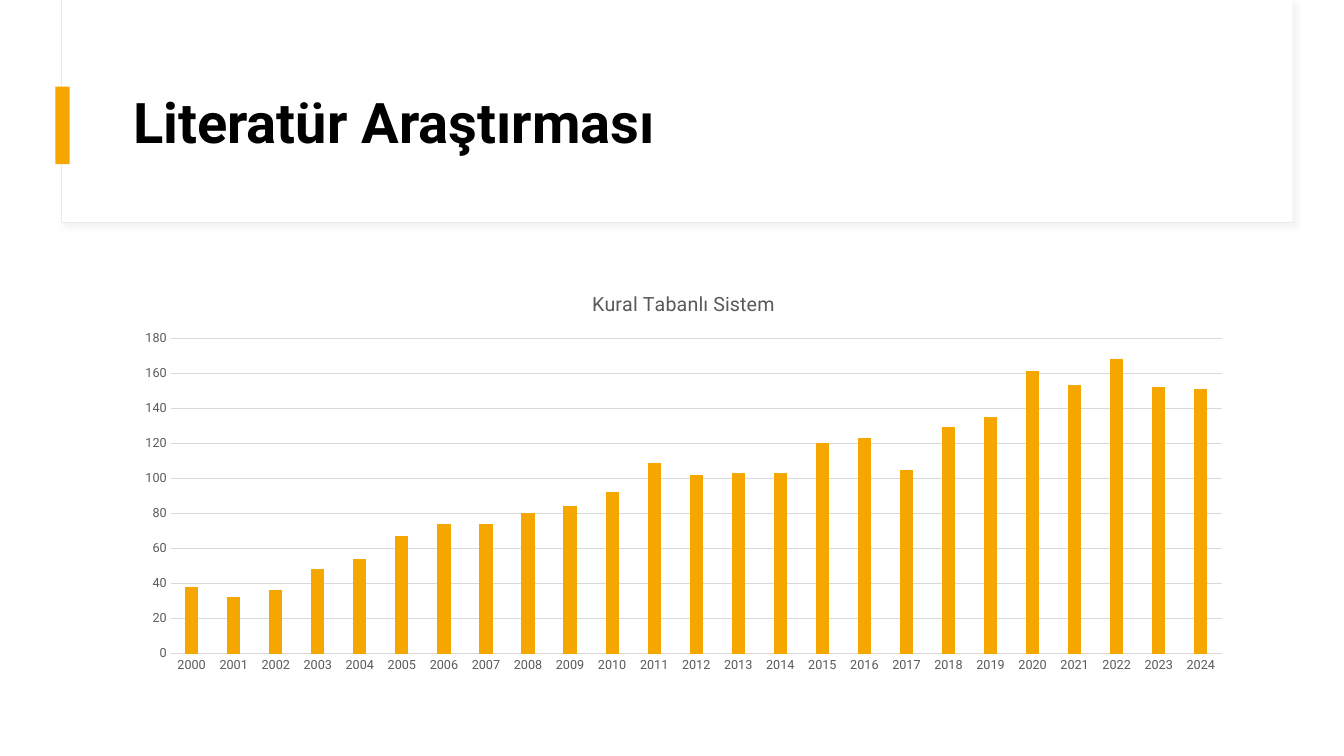
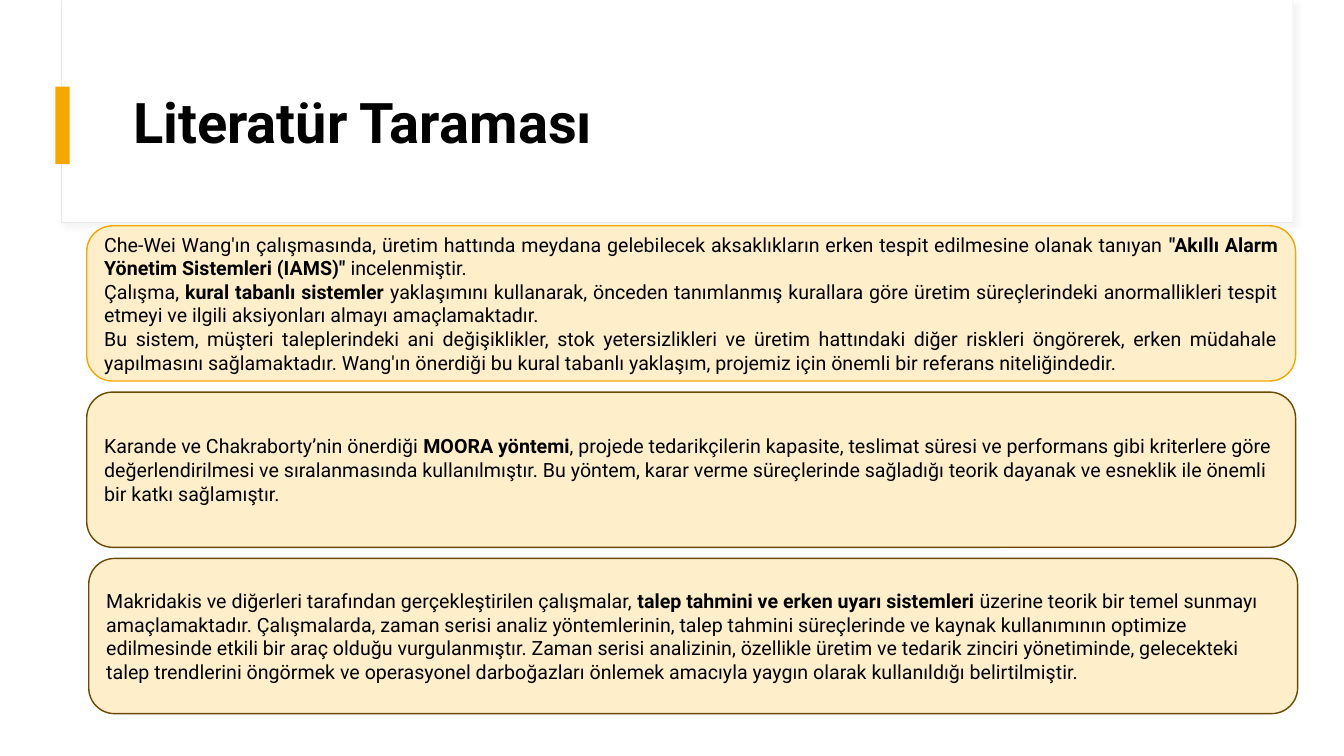
from lxml import etree
from pptx import Presentation
from pptx import util as u
from pptx.chart import data as chart_data
from pptx.dml.color import RGBColor
from pptx.enum import chart as chart_enum
from pptx.enum import shapes, text
from pptx.oxml import ns

FONT = "Roboto"
WHITE, BLACK, GRAY, GRID = "FFFFFF", "000000", "595959", "D9D9D9"
ACCENT, CREAM, BROWN, FRAME = "F5A700", "FFEECA", "6B4900", "E9E9E9"

TITLE_BOX = (1.22, 0.6, 11.12, 1.29)
CHART_BOX = (1.22, 2.71, 11.12, 4.04)
CARD_TOP, CARD_PITCH, CARD_WIDTH, CARD_HEIGHT = 2.24, 1.65, 11.99, 1.54

PUBLICATIONS = [38, 32, 36, 48, 54, 67, 74, 74, 80, 84, 92, 109, 102,
                103, 103, 120, 123, 105, 129, 135, 161, 153, 168, 152, 151]

CARDS = [
    (0.86, ACCENT, text.PP_ALIGN.JUSTIFY, [
        "Che-Wei Wang'ın çalışmasında, üretim hattında meydana gelebilecek "
        "aksaklıkların erken tespit edilmesine olanak tanıyan "
        "**\"Akıllı Alarm Yönetim Sistemleri (IAMS)\"** incelenmiştir.",
        "Çalışma, **kural tabanlı sistemler** yaklaşımını kullanarak, önceden "
        "tanımlanmış kurallara göre üretim süreçlerindeki anormallikleri tespit "
        "etmeyi ve ilgili aksiyonları almayı amaçlamaktadır.",
        "Bu sistem, müşteri taleplerindeki ani değişiklikler, stok "
        "yetersizlikleri ve üretim hattındaki diğer riskleri öngörerek, erken "
        "müdahale yapılmasını sağlamaktadır. Wang'ın önerdiği bu kural tabanlı "
        "yaklaşım, projemiz için önemli bir referans niteliğindedir.",
    ]),
    (0.86, BROWN, text.PP_ALIGN.LEFT, [
        "Karande ve Chakraborty’nin önerdiği **MOORA yöntemi**, projede "
        "tedarikçilerin kapasite, teslimat süresi ve performans gibi kriterlere "
        "göre değerlendirilmesi ve sıralanmasında kullanılmıştır. Bu yöntem, "
        "karar verme süreçlerinde sağladığı teorik dayanak ve esneklik ile "
        "önemli bir katkı sağlamıştır.",
    ]),
    (0.88, BROWN, text.PP_ALIGN.LEFT, [
        "Makridakis ve diğerleri tarafından gerçekleştirilen çalışmalar, "
        "**talep tahmini ve erken uyarı sistemleri** üzerine teorik bir temel "
        "sunmayı amaçlamaktadır. Çalışmalarda, zaman serisi analiz "
        "yöntemlerinin, talep tahmini süreçlerinde ve kaynak kullanımının "
        "optimize edilmesinde etkili bir araç olduğu vurgulanmıştır. Zaman "
        "serisi analizinin, özellikle üretim ve tedarik zinciri yönetiminde, "
        "gelecekteki talep trendlerini öngörmek ve operasyonel darboğazları "
        "önlemek amacıyla yaygın olarak kullanıldığı belirtilmiştir.",
    ]),
]


def rgb(value):
    """Turn a hex string into a colour."""
    return RGBColor.from_string(value)


def inches(box):
    """Turn a box of plain numbers into lengths."""
    return [u.Inches(value) for value in box]


def style_font(font, size, color, bold=False):
    """Set the family, size, colour and weight of a font."""
    font.name, font.size, font.bold = FONT, u.Pt(size), bold
    font.color.rgb = rgb(color)


def style_line(line, color, width=0.75):
    """Set the colour and width of a line."""
    line.color.rgb = rgb(color)
    line.width = u.Pt(width)


def add_box(slide, kind, box, fill, line=None, width=0.75):
    """Add a filled preset shape, outlined when a line colour is given."""
    shape = slide.shapes.add_shape(kind, *inches(box))
    shape.shadow.inherit = False
    shape.fill.solid()
    shape.fill.fore_color.rgb = rgb(fill)
    if line:
        style_line(shape.line, line, width)
    else:
        shape.line.fill.background()
    return shape


def add_soft_shadow(shape):
    """Give a shape a pale shadow towards the lower right."""
    effects = shape.element.spPr.find(ns.qn("a:effectLst"))
    shadow = etree.SubElement(
        effects, ns.qn("a:outerShdw"), blurRad=str(u.Pt(4)), dist=str(u.Pt(3)),
        dir=str(45 * 60000), algn="tl", rotWithShape="0")
    color = etree.SubElement(shadow, ns.qn("a:srgbClr"), val=GRID)
    etree.SubElement(color, ns.qn("a:alpha"), val="30000")


def build_layout(layout, slide):
    """Move the header band into the layout and place its title."""
    rectangle = shapes.MSO_SHAPE.RECTANGLE
    frame = add_box(slide, rectangle, (0.61, 0, 12.21, 2.21), WHITE, FRAME)
    add_soft_shadow(frame)
    panel = add_box(slide, rectangle, (0.62, 0, 12.2, 2.2), WHITE)
    marker = add_box(slide, rectangle, (0.55, 0.86, 0.14, 0.77), ACCENT)
    for position, shape in enumerate((frame, panel, marker), start=2):
        layout.shapes.element.insert(position, shape.element)
    title = layout.placeholders[0]
    title.left, title.top, title.width, title.height = inches(TITLE_BOX)


def write_title(slide, wording):
    """Fill and format the title placeholder."""
    frame = slide.shapes.title.text_frame
    frame.text = wording
    frame.vertical_anchor = text.MSO_ANCHOR.MIDDLE
    paragraph = frame.paragraphs[0]
    paragraph.alignment = text.PP_ALIGN.LEFT
    paragraph.line_spacing = 0.9
    style_font(paragraph.runs[0].font, 40, BLACK, True)


def add_publication_chart(slide, box):
    """Add the column chart of yearly publications."""
    data = chart_data.CategoryChartData()
    data.categories = [str(2000 + index) for index in range(len(PUBLICATIONS))]
    data.add_series("Series 1", PUBLICATIONS)
    chart = slide.shapes.add_chart(
        chart_enum.XL_CHART_TYPE.COLUMN_CLUSTERED, *inches(box), data).chart
    style_font(chart.font, 10, BLACK)
    chart.has_legend = False
    chart.has_title = True
    chart.chart_title.include_in_layout = False
    heading = chart.chart_title.text_frame
    heading.text = "Kural Tabanlı Sistem"
    style_font(heading.paragraphs[0].runs[0].font, 14, GRAY)

    plot = chart.plots[0]
    plot.gap_width, plot.overlap, plot.vary_by_categories = 219, -27, False
    columns = plot.series[0]
    columns.invert_if_negative = False
    columns.format.fill.solid()
    columns.format.fill.fore_color.rgb = rgb(ACCENT)

    years, counts = chart.category_axis, chart.value_axis
    for axis in (years, counts):
        axis.major_tick_mark = chart_enum.XL_TICK_MARK.NONE
        axis.minor_tick_mark = chart_enum.XL_TICK_MARK.NONE
        style_font(axis.tick_labels.font, 9, GRAY)
    style_line(years.format.line, GRID)
    counts.format.line.fill.background()
    counts.minimum_scale, counts.maximum_scale, counts.major_unit = 0, 180, 20
    counts.has_major_gridlines = True
    style_line(counts.major_gridlines.format.line, GRID)


def add_card(slide, box, line, alignment, wordings):
    """Add a rounded card whose **marked** words are bold."""
    card = add_box(slide, shapes.MSO_SHAPE.ROUNDED_RECTANGLE, box, CREAM, line, 1)
    frame = card.text_frame
    frame.word_wrap = True
    frame.vertical_anchor = text.MSO_ANCHOR.MIDDLE
    for index, wording in enumerate(wordings):
        paragraph = frame.add_paragraph() if index else frame.paragraphs[0]
        paragraph.alignment = alignment
        for part, words in enumerate(wording.split("**")):
            run = paragraph.add_run()
            run.text = words
            style_font(run.font, 14, BLACK, part % 2 == 1)


def add_cards(slide):
    """Stack the literature cards at equal steps."""
    for index, (left, line, alignment, wordings) in enumerate(CARDS):
        box = (left, CARD_TOP + index * CARD_PITCH, CARD_WIDTH, CARD_HEIGHT)
        add_card(slide, box, line, alignment, wordings)


def main():
    """Build both slides and save the presentation."""
    presentation = Presentation()
    presentation.slide_width, presentation.slide_height = inches((13.33, 7.5))
    layout = presentation.slide_layouts[5]
    research, review = [presentation.slides.add_slide(layout) for _ in range(2)]
    build_layout(layout, research)
    write_title(research, "Literatür Araştırması")
    add_publication_chart(research, CHART_BOX)
    write_title(review, "Literatür Taraması")
    add_cards(review)
    presentation.save("out.pptx")


if __name__ == "__main__":
    main()
